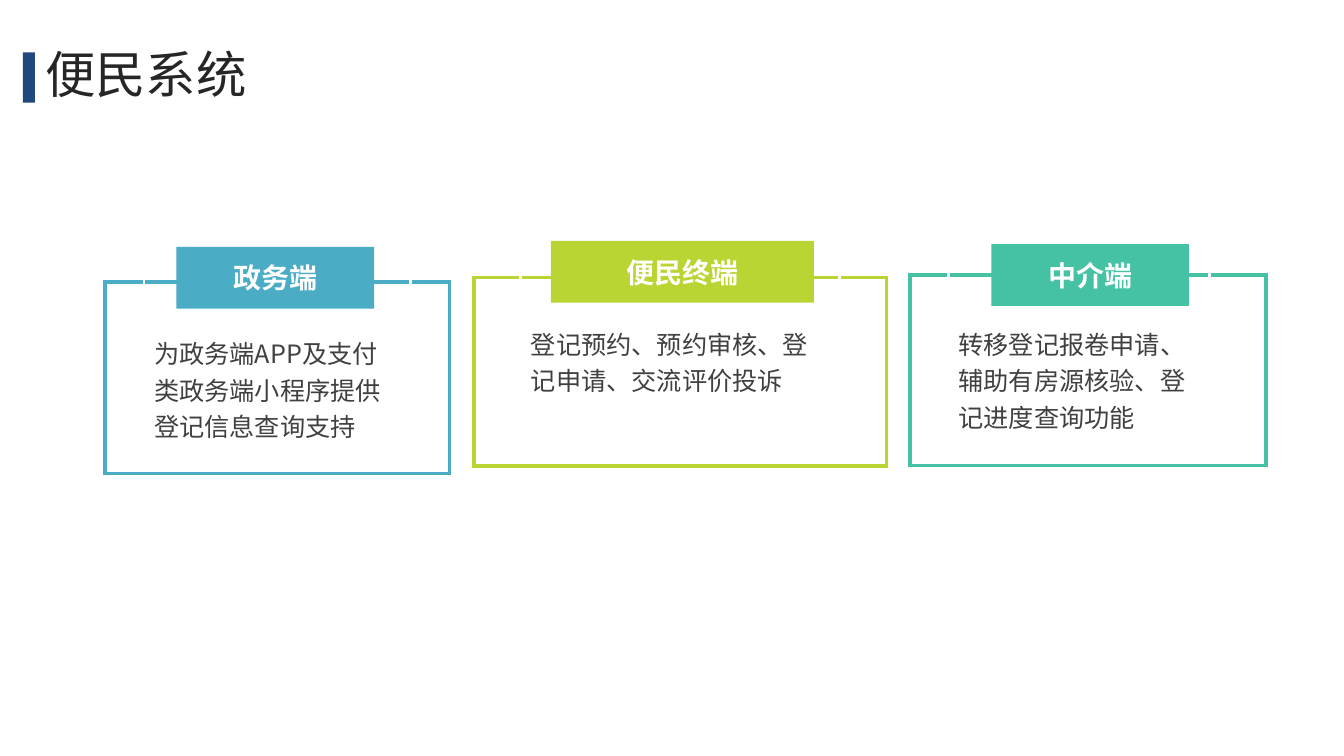
from lxml.etree import SubElement
from pptx import Presentation
from pptx.dml.color import RGBColor
from pptx.enum.shapes import MSO_SHAPE as Shape
from pptx.enum.text import MSO_ANCHOR as Anchor, PP_ALIGN as Align
from pptx.oxml import parse_xml
from pptx.oxml.ns import nsdecls, qn
from pptx.util import Cm, Pt

FONT = "Noto Sans CJK SC"
COLORS = {
    "navy": "1F497D",
    "title": "262626",
    "body": "404040",
    "white": "FFFFFF",
    "blue": "4BACC6",
    "lime": "B9D533",
    "green": "45C1A4",
}
FRAME_WIDTH, GAP_WIDTH = 3, 2.25
TAB_HEIGHT = 1.56

# color, label, paragraphs, table corner, columns, rows, tab (left, top, width)
PANELS = [
    ("blue", "政务端", ["为政务端APP及支付类政务端小程序提供登记信息查询支持"],
     (2.64, 7.11), (0.99, 6.71, 0.99), (1.19, 3.63), (4.45, 6.22, 4.98)),
    ("lime", "便民终端", ["登记预约、预约审核、登记申请、交流评价投诉"],
     (11.94, 6.99), (1.19, 8.03, 1.19), (1.07, 3.68), (13.89, 6.07, 6.63)),
    ("green", "中介端", ["转移登记报卷申请、", "辅助有房源核验、登记进度查询功能"],
     (22.94, 6.93), (0.97, 6.58, 1.42), (1.14, 3.66), (24.99, 6.15, 4.98)),
]


def rgb(color):
    return RGBColor.from_string(COLORS[color])


def style_paragraph(para, size, color, bold=False):
    font = para.font
    font.size, font.bold, font.name = Pt(size), bold, FONT
    font.color.rgb = rgb(color)
    properties = para._p.pPr.find(qn("a:defRPr"))
    SubElement(properties, qn("a:ea")).set("typeface", FONT)


def add_block(page, left, top, width, height, color):
    block = page.shapes.add_shape(
        Shape.RECTANGLE, Cm(left), Cm(top), Cm(width), Cm(height))
    block.shadow.inherit = False
    block.fill.solid()
    block.fill.fore_color.rgb = rgb(color)
    block.line.fill.background()
    return block


def add_title(page, text):
    add_block(page, 0.58, 1.32, 0.3, 1.27, "navy")
    box = page.shapes.add_textbox(Cm(0.89), Cm(0.94), Cm(32.16), Cm(2.01))
    frame = box.text_frame
    frame.word_wrap = True
    frame.vertical_anchor = Anchor.MIDDLE
    para = frame.paragraphs[0]
    para.text = text
    para.line_spacing = 0.9
    para.space_before = Pt(10)
    style_paragraph(para, 36, "title")


def set_borders(cell, borders):
    """Take a (color, width) pair, or None, for left, right, top and bottom."""
    properties = cell._tc.get_or_add_tcPr()
    for index, (side, border) in enumerate(zip("LRTB", borders)):
        if border:
            color, width = border
            paint = f'<a:solidFill><a:srgbClr val="{COLORS[color]}"/></a:solidFill>'
        else:
            width, paint = 0, "<a:noFill/>"
        line = parse_xml(
            f'<a:ln{side} {nsdecls("a")} w="{Pt(width)}">{paint}</a:ln{side}>')
        properties.insert(index, line)


def add_frame(page, color, texts, corner, columns, rows):
    """Add a table whose outer border frames the text in its lower middle cell."""
    left, top = corner
    table = page.shapes.add_table(
        len(rows), len(columns), Cm(left), Cm(top),
        Cm(sum(columns)), Cm(sum(rows))).table
    table.first_row = table.horz_banding = False
    for column, width in zip(table.columns, columns):
        column.width = Cm(width)
    for row, height in zip(table.rows, rows):
        row.height = Cm(height)

    edge, gap = (color, FRAME_WIDTH), ("white", GAP_WIDTH)
    last_row, last_column = len(rows) - 1, len(columns) - 1
    for r in range(len(rows)):
        for c in range(len(columns)):
            cell = table.cell(r, c)
            cell.fill.solid()
            cell.fill.fore_color.rgb = rgb("white")
            set_borders(cell, (
                edge if c == 0 else gap,
                edge if c == last_column else gap,
                edge if r == 0 else None,
                edge if r == last_row else None))
            end = cell.text_frame.paragraphs[0]._p.get_or_add_endParaRPr()
            end.set("sz", "1200")

    frame = table.cell(1, 1).text_frame
    frame.text = "\n".join(texts)
    for para in frame.paragraphs:
        style_paragraph(para, 18, "body")


def add_tab(page, color, label, place):
    tab = add_block(page, *place, TAB_HEIGHT, color)
    frame = tab.text_frame
    frame.vertical_anchor = Anchor.MIDDLE
    para = frame.paragraphs[0]
    para.text = label
    para.alignment = Align.CENTER
    style_paragraph(para, 20, "white", bold=True)


def main():
    deck = Presentation()
    deck.slide_width, deck.slide_height = Cm(33.88), Cm(19.05)
    page = deck.slides.add_slide(deck.slide_layouts[6])
    add_title(page, "便民系统")
    for color, label, texts, corner, columns, rows, tab in PANELS:
        add_frame(page, color, texts, corner, columns, rows)
        add_tab(page, color, label, tab)
    deck.save("out.pptx")


if __name__ == "__main__":
    main()
